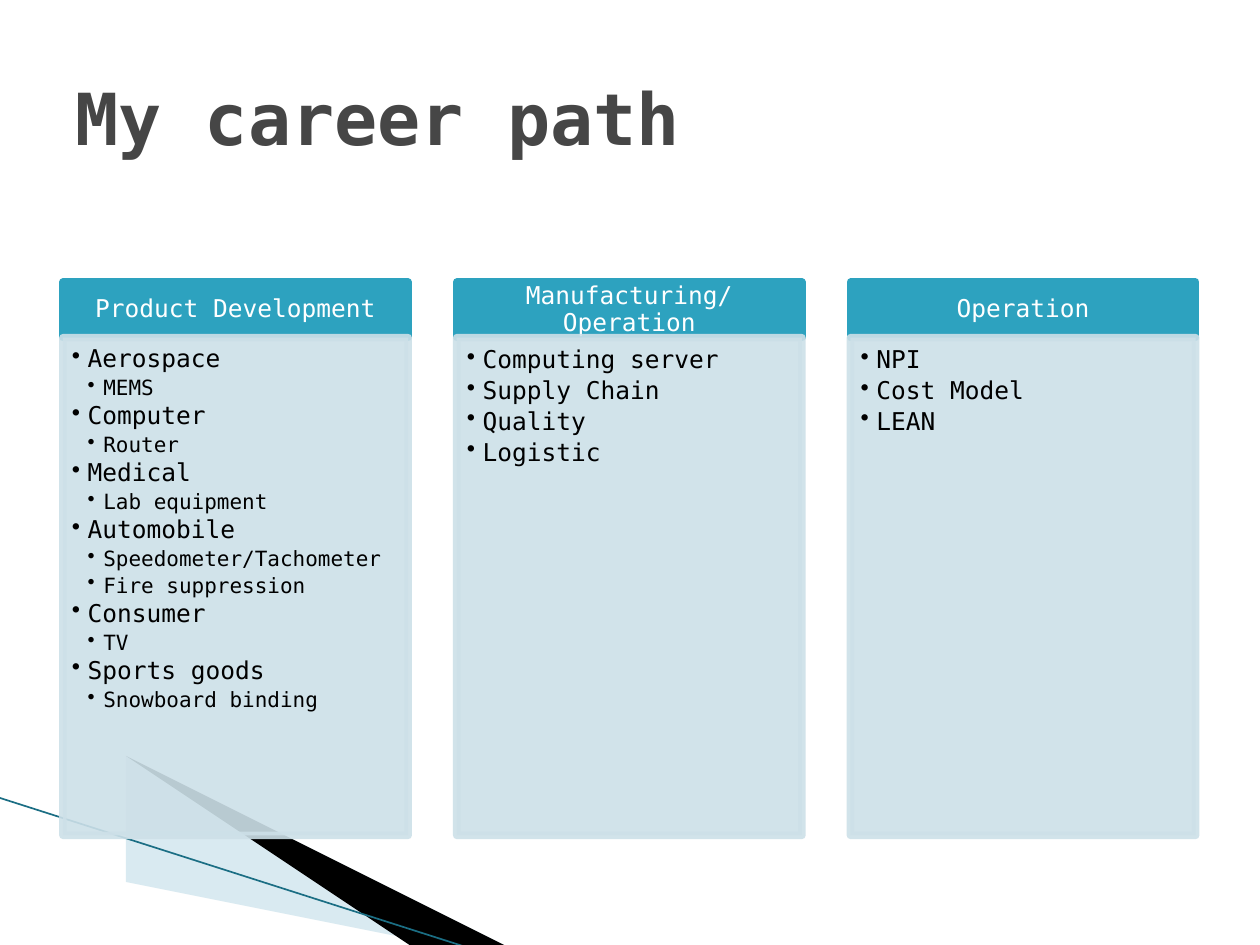
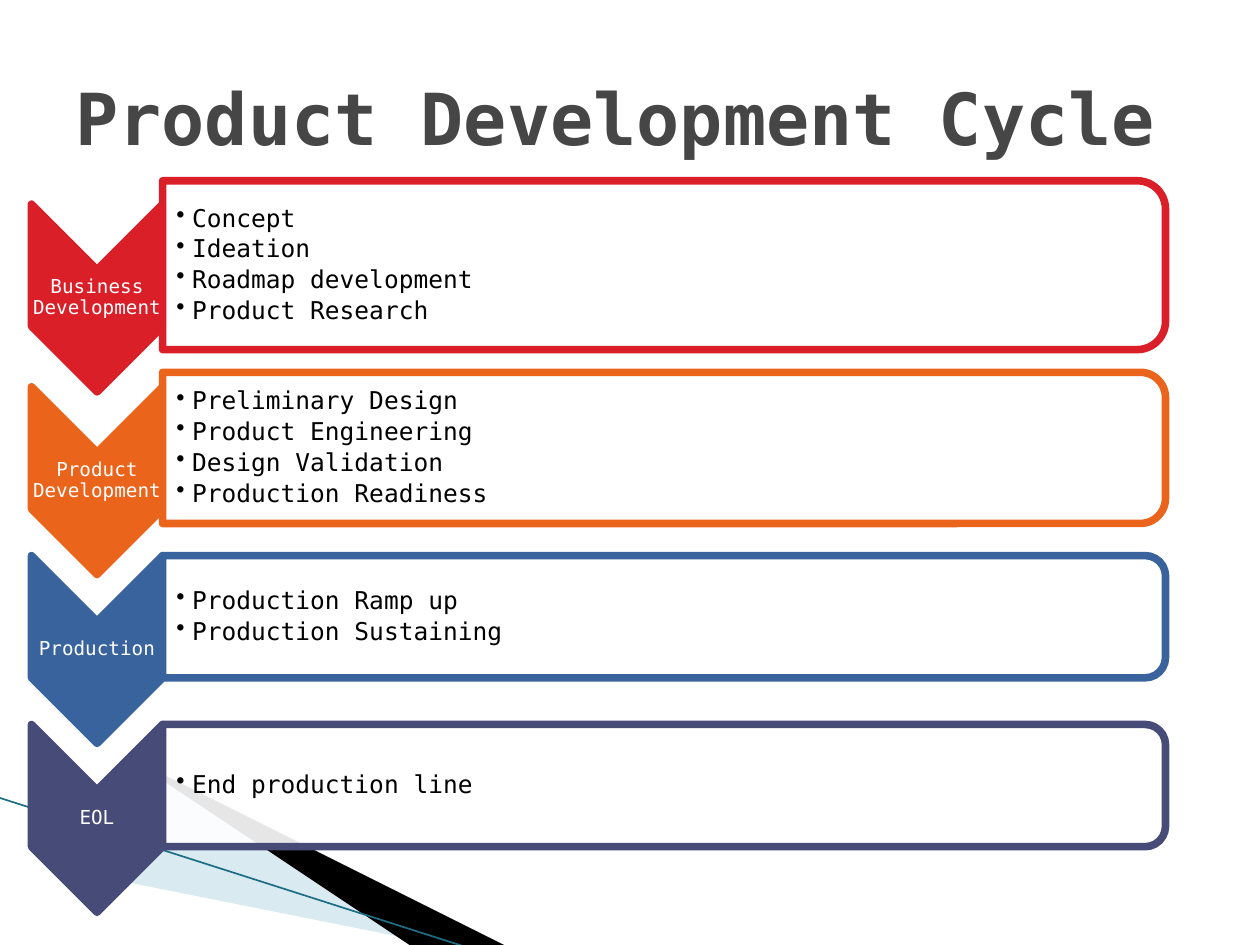
from lxml.etree import SubElement
from pptx import Presentation
from pptx.dml.color import RGBColor
from pptx.enum.shapes import MSO_CONNECTOR, MSO_SHAPE as SHAPE
from pptx.enum.text import MSO_ANCHOR as ANCHOR, PP_ALIGN as ALIGN
from pptx.oxml.ns import qn
from pptx.util import Emu, Inches, Pt

WIDTH, HEIGHT = 10, 7.5
FONT = "DejaVu Sans Mono"
TITLE, BLACK, WHITE = "464646", "000000", "FFFFFF"
TEAL, PALE, SWOOSH, EDGE = "2DA2BF", "CDE0E8", "A0CBDC", "1B6E84"
BORDER = 4.33
MARGIN = WIDTH * 0.05

COLUMN_W, COLUMN_STEP = 2.74, 3.125
HEADER_TOP, HEADER_H, BODY_H = 2.24, 0.44, 3.95

CHEVRON_X, CHEVRON_W, CHEVRON_H = 0.25, 1.04, 1.49
PANEL_X, PANEL_W = 1.29, 7.96
PANEL_CENTRE = 0.485

CAREER = [
    ("Product Development", 0.07, [
        ("Aerospace", ["MEMS"]),
        ("Computer", ["Router"]),
        ("Medical", ["Lab equipment"]),
        ("Automobile", ["Speedometer/Tachometer", "Fire suppression"]),
        ("Consumer", ["TV"]),
        ("Sports goods", ["Snowboard binding"]),
    ]),
    ("Manufacturing/Operation", 0.08, [
        ("Computing server", []), ("Supply Chain", []),
        ("Quality", []), ("Logistic", []),
    ]),
    ("Operation", 0.08, [("NPI", []), ("Cost Model", []), ("LEAN", [])]),
]

CYCLE = [
    ("Business Development", "DA1F28", 1.62, 1.34,
     ["Concept", "Ideation", "Roadmap development", "Product Research"]),
    ("Product Development", "EB641B", 3.07, 1.2,
     ["Preliminary Design", "Product Engineering", "Design Validation",
      "Production Readiness"]),
    ("Production", "39639D", 4.41, 0.97,
     ["Production Ramp up", "Production Sustaining"]),
    ("EOL", "474B78", 5.75, 0.97, ["End production line"]),
]


def paint(fmt, color, opacity=100):
    """Give a fill format a solid colour and, if asked, transparency."""
    fmt.solid()
    fmt.fore_color.rgb = RGBColor.from_string(color)
    if opacity < 100:
        clr = fmt._xPr.find(qn("a:solidFill"))[0]
        SubElement(clr, qn("a:alpha")).set("val", str(opacity * 1000))


def add_box(s, kind, x, y, w, h, fill, line, opacity=100, line_opacity=100):
    """Add a preset shape with a heavy border."""
    sp = s.shapes.add_shape(kind, Inches(x), Inches(y), Inches(w), Inches(h))
    sp.shadow.inherit = False
    paint(sp.fill, fill, opacity)
    paint(sp.line.fill, line, line_opacity)
    sp.line.width = Pt(BORDER)
    return sp


def add_turned(s, kind, x, y, w, h, *colors):
    """Add a shape turned clockwise by 90 degrees that covers the given area."""
    sp = add_box(s, kind, x + (w - h) / 2, y + (h - w) / 2, h, w, *colors)
    sp.rotation = 90
    return sp


def add_textbox(s, x, y, w, h):
    """Add an empty text box and return its frame."""
    sp = s.shapes.add_textbox(Inches(x), Inches(y), Inches(w), Inches(h))
    return sp.text_frame


def set_frame(tf, insets, anchor=ANCHOR.MIDDLE):
    """Set wrapping, insets (left, top, right, bottom) and anchor."""
    tf.word_wrap = True
    tf.vertical_anchor = anchor
    (tf.margin_left, tf.margin_top,
     tf.margin_right, tf.margin_bottom) = map(Inches, insets)


def write(p, text, size, color, bold=False):
    """Fill a paragraph with one formatted run."""
    p.text = text
    for r in p.runs:
        r.font.name = FONT
        r.font.size = Pt(size)
        r.font.bold = bold
        r.font.color.rgb = RGBColor.from_string(color)


def write_label(tf, text, size, insets):
    """Write a centred white label."""
    set_frame(tf, insets)
    p = tf.paragraphs[0]
    write(p, text, size, WHITE)
    p.alignment = ALIGN.CENTER
    p.line_spacing = 0.9


def write_bullets(tf, items):
    """Write bullets given as (level, text) pairs."""
    for i, (level, text) in enumerate(items):
        p = tf.add_paragraph() if i else tf.paragraphs[0]
        size = 14 if level == 1 else 12
        write(p, text, size, BLACK)
        p.level = level
        p.alignment = ALIGN.LEFT
        p.line_spacing = 0.9
        p.space_after = Pt(size * 0.175)
        pPr = p._p.get_or_add_pPr()
        pPr.set("marL", str(Inches(0.125 * level)))
        pPr.set("indent", str(Inches(-0.125)))
        SubElement(pPr, qn("a:buChar")).set("char", "•")


def add_wedge(s, points, color, opacity=100):
    """Add a borderless polygon."""
    builder = s.shapes.build_freeform(*points[0], scale=Emu(914400))
    builder.add_line_segments(points[1:])
    sp = builder.convert_to_shape()
    sp.shadow.inherit = False
    paint(sp.fill, color, opacity)
    sp.line.fill.background()


def add_swoosh(s):
    """Draw the wedges and the thin line in the lower left corner."""
    add_wedge(s, [(0.55, 6.51), (5.95, 7.51), (4.56, 7.51), (0.55, 6.5)],
              SWOOSH, 40)
    add_wedge(s, [(0.53, 6.49), (4.57, 7.51), (3.72, 7.52), (0.54, 6.5)],
              BLACK)
    line = s.shapes.add_connector(MSO_CONNECTOR.STRAIGHT, Inches(-0.01),
                                  Inches(6.33), Inches(3.71), Inches(7.52))
    paint(line.line.fill, EDGE)
    line.line.width = Pt(0.95)
    SubElement(line._element.spPr, qn("a:effectLst"))


def add_title(s, text):
    """Write the slide title."""
    tf = add_textbox(s, MARGIN, HEIGHT * 0.04, WIDTH - 2 * MARGIN, 1.25)
    set_frame(tf, (0.1, 0.05, 0.1, 0.05))
    write(tf.paragraphs[0], text, 41, TITLE, bold=True)


def add_column(s, x, heading, pad, groups):
    """Draw a heading with its panel of nested bullets."""
    head = add_box(s, SHAPE.RECTANGLE, x, HEADER_TOP, COLUMN_W, HEADER_H,
                   TEAL, TEAL)
    write_label(head.text_frame, heading, 14, (0.11, 0.06, 0.11, 0.06))
    body = add_box(s, SHAPE.RECTANGLE, x, HEADER_TOP + HEADER_H, COLUMN_W,
                   BODY_H, PALE, PALE, 90, 90)
    set_frame(body.text_frame, (pad, pad, pad * 1.35, pad * 1.5), ANCHOR.TOP)
    items = []
    for name, details in groups:
        items += [(1, name)] + [(2, detail) for detail in details]
    write_bullets(body.text_frame, items)


def add_stage(s, name, color, top, panel_h, steps):
    """Draw a downward chevron with its panel of steps."""
    add_turned(s, SHAPE.CHEVRON, CHEVRON_X, top, CHEVRON_W, CHEVRON_H,
               color, color)
    tf = add_textbox(s, CHEVRON_X, top + CHEVRON_W / 2, CHEVRON_W,
                     CHEVRON_H - CHEVRON_W)
    write_label(tf, name, 11, (0.01,) * 4)
    panel_top = top + PANEL_CENTRE - panel_h / 2
    add_turned(s, SHAPE.ROUND_2_SAME_RECTANGLE, PANEL_X, panel_top, PANEL_W,
               panel_h, WHITE, color, 90)
    tf = add_textbox(s, PANEL_X, panel_top + 0.06, PANEL_W - 0.06,
                     panel_h - 0.12)
    set_frame(tf, (0.11, 0.01, 0.01, 0.01))
    write_bullets(tf, [(1, step) for step in steps])


def add_slide(prs):
    """Add a blank slide with the shared decoration."""
    s = prs.slides.add_slide(prs.slide_layouts[6])
    add_swoosh(s)
    return s


def main():
    """Build both slides and save them."""
    prs = Presentation()
    prs.slide_width, prs.slide_height = Inches(WIDTH), Inches(HEIGHT)

    s = add_slide(prs)
    for i, column in enumerate(CAREER):
        add_column(s, MARGIN + i * COLUMN_STEP, *column)
    add_title(s, "My career path")

    s = add_slide(prs)
    for stage in CYCLE:
        add_stage(s, *stage)
    add_title(s, "Product Development Cycle")

    prs.save("out.pptx")


main()
